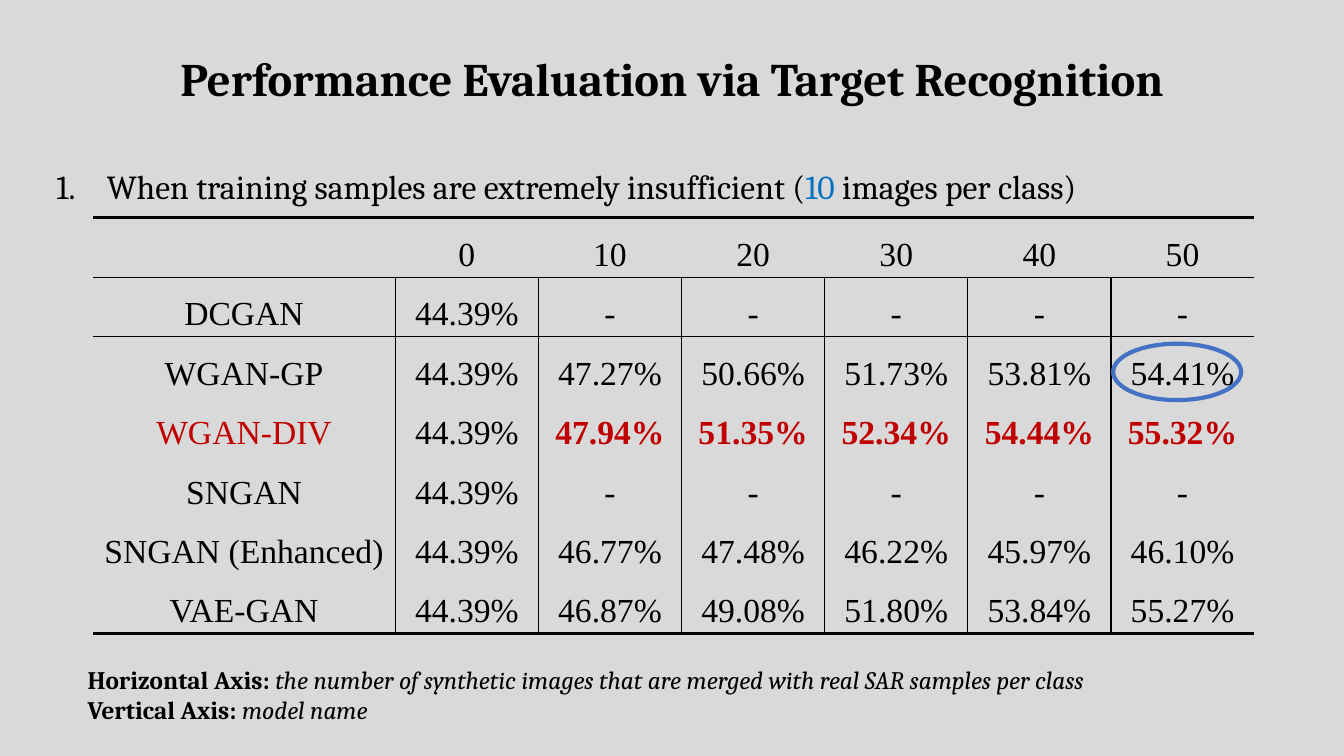
import pptx
import pptx.util
import pptx.dml.color
import pptx.enum.shapes
import pptx.enum.text
import pptx.oxml.ns
from lxml import etree

Inches = pptx.util.Inches
Pt = pptx.util.Pt
RGBColor = pptx.dml.color.RGBColor
Align = pptx.enum.text.PP_ALIGN
Anchor = pptx.enum.text.MSO_ANCHOR
qn = pptx.oxml.ns.qn

BLACK = RGBColor(0x00, 0x00, 0x00)
GREY = RGBColor(0xD9, 0xD9, 0xD9)
BLUE = RGBColor(0x00, 0x70, 0xC0)
RED = RGBColor(0xC0, 0x00, 0x00)
RING_BLUE = RGBColor(0x44, 0x72, 0xC4)
HEADING_FONT = "Cambria"
TABLE_FONT = "Times New Roman"
NO_GRID_STYLE = "{2D5ABB26-0587-4C30-8999-92F81FD0307C}"

TITLE = "Performance Evaluation via Target Recognition"
CONDITION = [
    ("When training samples are extremely insufficient (", BLACK),
    ("10", BLUE),
    (" images per class)", BLACK),
]
BASELINE = "44.39%"
BEST_MODEL = "WGAN-DIV"
NO_RESULT = ["-"] * 5
ACCURACY = [
    ["", "0", "10", "20", "30", "40", "50"],
    ["DCGAN", BASELINE, *NO_RESULT],
    ["WGAN-GP", BASELINE, "47.27%", "50.66%", "51.73%", "53.81%", "54.41%"],
    [BEST_MODEL, BASELINE, "47.94%", "51.35%", "52.34%", "54.44%", "55.32%"],
    ["SNGAN", BASELINE, *NO_RESULT],
    ["SNGAN (Enhanced)", BASELINE, "46.77%", "47.48%", "46.22%", "45.97%", "46.10%"],
    ["VAE-GAN", BASELINE, "46.87%", "49.08%", "51.80%", "53.84%", "55.27%"],
]
AXES = [
    ("Horizontal Axis: ", "the number of synthetic images that are merged with real SAR samples per class"),
    ("Vertical Axis:", " model name"),
]
MODEL_WIDTH, VALUE_WIDTH, ROW_HEIGHT = 3, 1.42, 0.59


def add_span(para, text, size, font=HEADING_FONT, color=BLACK, bold=False, italic=False):
    span = para.add_run()
    span.text = text
    span.font.size = Pt(size)
    span.font.name = font
    span.font.color.rgb = color
    span.font.bold = bold
    span.font.italic = italic


def place(box, left, top, width, height):
    box.left, box.top = Inches(left), Inches(top)
    box.width, box.height = Inches(width), Inches(height)
    box.text_frame.word_wrap = True
    box.text_frame.auto_size = pptx.enum.text.MSO_AUTO_SIZE.NONE


def add_border(cell, side, width):
    line = etree.SubElement(cell._tc.get_or_add_tcPr(), qn("a:ln" + side), w=str(Pt(width)))
    fill = etree.SubElement(line, qn("a:solidFill"))
    etree.SubElement(fill, qn("a:srgbClr"), val=str(BLACK))


def cell_borders(row, column, last_row, last_column):
    borders = []
    if row > 0 and column > 0:
        borders.append(("L", 1))
    if row > 0 and column < last_column:
        borders.append(("R", 1))
    if row < 2:
        borders.append(("T", 2.25 if row == 0 else 1))
    if row in (0, last_row):
        borders.append(("B", 1 if row == 0 else 2.25))
    return borders


def fill_cell(cell, text, model, row, column):
    cell.margin_left = cell.margin_right = Inches(0.07)
    cell.margin_top = cell.margin_bottom = 0
    for side, width in cell_borders(row, column, len(ACCURACY) - 1, len(ACCURACY[0]) - 1):
        add_border(cell, side, width)
    cell.fill.background()
    if text:
        para = cell.text_frame.paragraphs[0]
        para.alignment = Align.CENTER
        para.line_spacing = 1.5
        para.space_before = Pt(3)
        best = model == BEST_MODEL and column != 1
        add_span(para, text, 24, TABLE_FONT, RED if best else BLACK, best and column > 1)


def add_title(page):
    title = page.shapes.title
    place(title, 0.92, 0.38, 11.5, 0.73)
    title.text_frame.vertical_anchor = Anchor.BOTTOM
    para = title.text_frame.paragraphs[0]
    para.alignment = Align.CENTER
    para.line_spacing = 0.9
    add_span(para, TITLE, 33.3, bold=True)


def add_condition(page):
    body = page.placeholders[1]
    place(body, 0.46, 1.6, 12.66, 0.5)
    para = body.text_frame.paragraphs[0]
    para.space_before = Pt(0)
    properties = para._p.get_or_add_pPr()
    properties.set("marL", str(Inches(0.5)))
    properties.set("indent", str(Inches(-0.5)))
    etree.SubElement(properties, qn("a:buFont"), typeface=HEADING_FONT)
    etree.SubElement(properties, qn("a:buAutoNum"), type="arabicPeriod")
    for text, color in CONDITION:
        add_span(para, text, 24, color=color)


def add_accuracy_table(page):
    rows, columns = len(ACCURACY), len(ACCURACY[0])
    frame = page.shapes.add_table(
        rows, columns, Inches(0.92), Inches(2.16), Inches(11.5), Inches(rows * ROW_HEIGHT))
    table = frame.table
    table.first_row = table.horz_banding = False
    table._tbl.tblPr.find(qn("a:tableStyleId")).text = NO_GRID_STYLE
    for index, column in enumerate(table.columns):
        column.width = Inches(VALUE_WIDTH if index else MODEL_WIDTH)
    for row, values in enumerate(ACCURACY):
        table.rows[row].height = Inches(ROW_HEIGHT)
        for column, text in enumerate(values):
            fill_cell(table.cell(row, column), text, values[0], row, column)


def add_axis_notes(page):
    box = page.shapes.add_textbox(0, 0, 0, 0)
    place(box, 0.77, 6.54, 12.5, 0.71)
    for index, (axis, meaning) in enumerate(AXES):
        para = box.text_frame.add_paragraph() if index else box.text_frame.paragraphs[0]
        add_span(para, axis, 18, bold=True)
        add_span(para, meaning, 18, italic=True)


def add_ring(page):
    ring = page.shapes.add_shape(
        pptx.enum.shapes.MSO_SHAPE.OVAL, Inches(11.04), Inches(3.41), Inches(1.27), Inches(0.56))
    ring.shadow.inherit = False
    ring.fill.background()
    ring.line.color.rgb = RING_BLUE
    ring.line.width = Pt(3)


def main():
    deck = pptx.Presentation()
    deck.slide_width, deck.slide_height = Inches(13.33), Inches(7.5)
    page = deck.slides.add_slide(deck.slide_layouts[1])
    page.background.fill.solid()
    page.background.fill.fore_color.rgb = GREY
    add_title(page)
    add_condition(page)
    add_accuracy_table(page)
    add_axis_notes(page)
    add_ring(page)
    deck.save("out.pptx")


if __name__ == "__main__":
    main()
